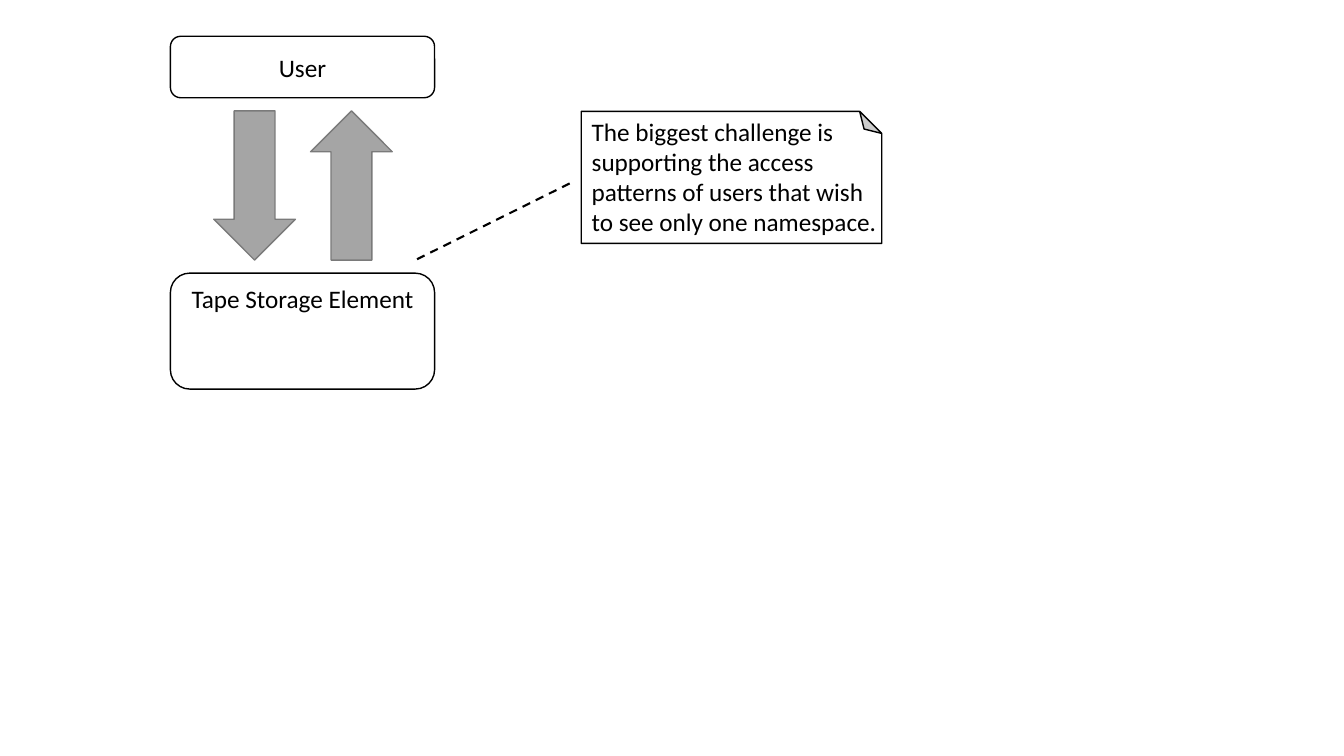
from pptx import Presentation
from pptx.dml.color import RGBColor
from pptx.enum.dml import MSO_LINE
from pptx.enum.shapes import MSO_CONNECTOR, MSO_SHAPE
from pptx.enum.text import MSO_ANCHOR, MSO_AUTO_SIZE, PP_ALIGN
from pptx.oxml.ns import qn
from pptx.util import Inches, Pt
from lxml import etree

ROUNDED = MSO_SHAPE.ROUNDED_RECTANGLE
DOWN_ARROW = MSO_SHAPE.DOWN_ARROW
FOLDED_CORNER = MSO_SHAPE.FOLDED_CORNER
STRAIGHT = MSO_CONNECTOR.STRAIGHT
DASH = MSO_LINE.DASH
TOP, MIDDLE = MSO_ANCHOR.TOP, MSO_ANCHOR.MIDDLE
LEFT, CENTER = PP_ALIGN.LEFT, PP_ALIGN.CENTER
GROW = MSO_AUTO_SIZE.SHAPE_TO_FIT_TEXT

WHITE = RGBColor(0xFF, 0xFF, 0xFF)
BLACK = RGBColor(0x00, 0x00, 0x00)
GRAY = RGBColor(0xA5, 0xA5, 0xA5)
DARK_GRAY = RGBColor(0x7A, 0x7A, 0x7A)

BOX_LEFT, BOX_WIDTH = 1.69, 2.62
ARROW_TOP, ARROW_WIDTH, ARROW_HEIGHT = 1.1, 0.81, 1.48
NOTE = ("The biggest challenge is supporting the access patterns of users "
        "that wish to see only one namespace.")


def write_text(shape, text, alignment, anchor):
    text_frame = shape.text_frame
    text_frame.word_wrap = True
    text_frame.vertical_anchor = anchor
    text_frame.text = text
    paragraph = text_frame.paragraphs[0]
    paragraph.alignment = alignment
    font = paragraph.runs[0].font
    font.name = "Calibri"
    font.size = Pt(18)
    font.color.rgb = BLACK


def add_shape(shapes, kind, left, top, width, height,
              fill=WHITE, line=BLACK, rotation=0):
    shape = shapes.add_shape(kind, Inches(left), Inches(top),
                             Inches(width), Inches(height))
    shape.shadow.inherit = False
    shape.fill.solid()
    shape.fill.fore_color.rgb = fill
    shape.line.color.rgb = line
    shape.line.width = Pt(1)
    shape.rotation = rotation
    return shape


def add_box(slide, text, top, height, anchor):
    box = add_shape(slide.shapes, ROUNDED, BOX_LEFT, top, BOX_WIDTH, height)
    write_text(box, text, CENTER, anchor)


def add_arrow_pair(slide):
    group = slide.shapes.add_group_shape()
    for left, rotation in ((2.12, 0), (3.08, 180)):
        add_shape(group.shapes, DOWN_ARROW, left, ARROW_TOP, ARROW_WIDTH,
                  ARROW_HEIGHT, GRAY, DARK_GRAY, rotation)


def add_dashed_line(slide, start_x, start_y, end_x, end_y):
    connector = slide.shapes.add_connector(
        STRAIGHT, Inches(start_x), Inches(start_y),
        Inches(end_x), Inches(end_y))
    connector.line.color.rgb = BLACK
    connector.line.width = Pt(1.5)
    connector.line.dash_style = DASH
    etree.SubElement(connector._element.spPr, qn("a:effectLst"))


def add_note_text(slide, text, left, top, width, height):
    text_box = slide.shapes.add_textbox(Inches(left), Inches(top),
                                        Inches(width), Inches(height))
    write_text(text_box, text, LEFT, TOP)
    text_box.text_frame.auto_size = GROW


def main():
    presentation = Presentation()
    presentation.slide_width = Inches(13.33)
    presentation.slide_height = Inches(7.5)
    slide = presentation.slides.add_slide(presentation.slide_layouts[6])

    add_box(slide, "Tape Storage Element", 2.71, 1.15, TOP)
    add_box(slide, "User", 0.36, 0.61, MIDDLE)
    add_arrow_pair(slide)
    add_shape(slide.shapes, FOLDED_CORNER, 6.6, 0.27, 1.31, 2.98, rotation=270)
    add_dashed_line(slide, 5.65, 1.82, 4.12, 2.58)
    add_note_text(slide, NOTE, 5.77, 1.1, 3.1, 1.31)

    presentation.save("out.pptx")


if __name__ == "__main__":
    main()
